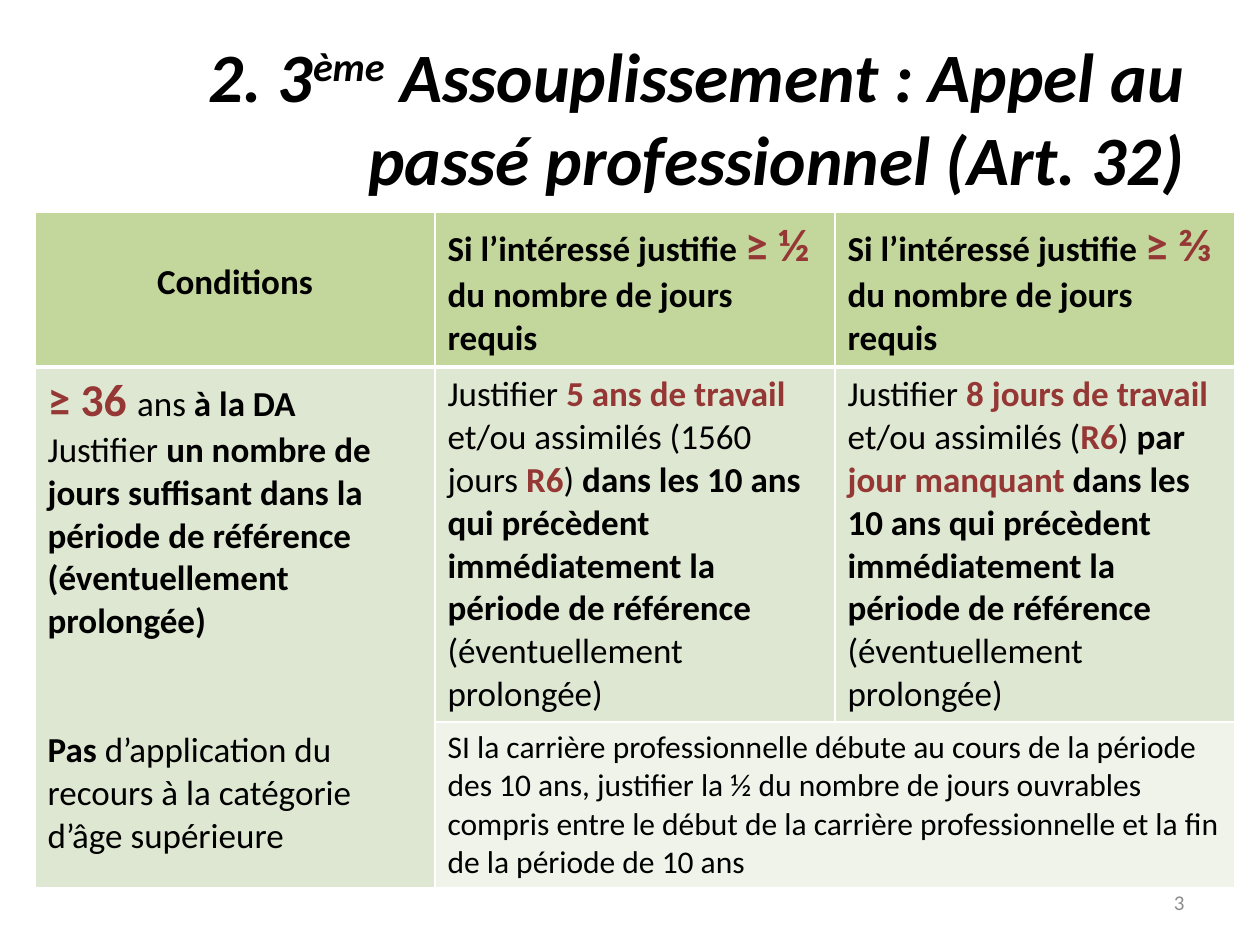
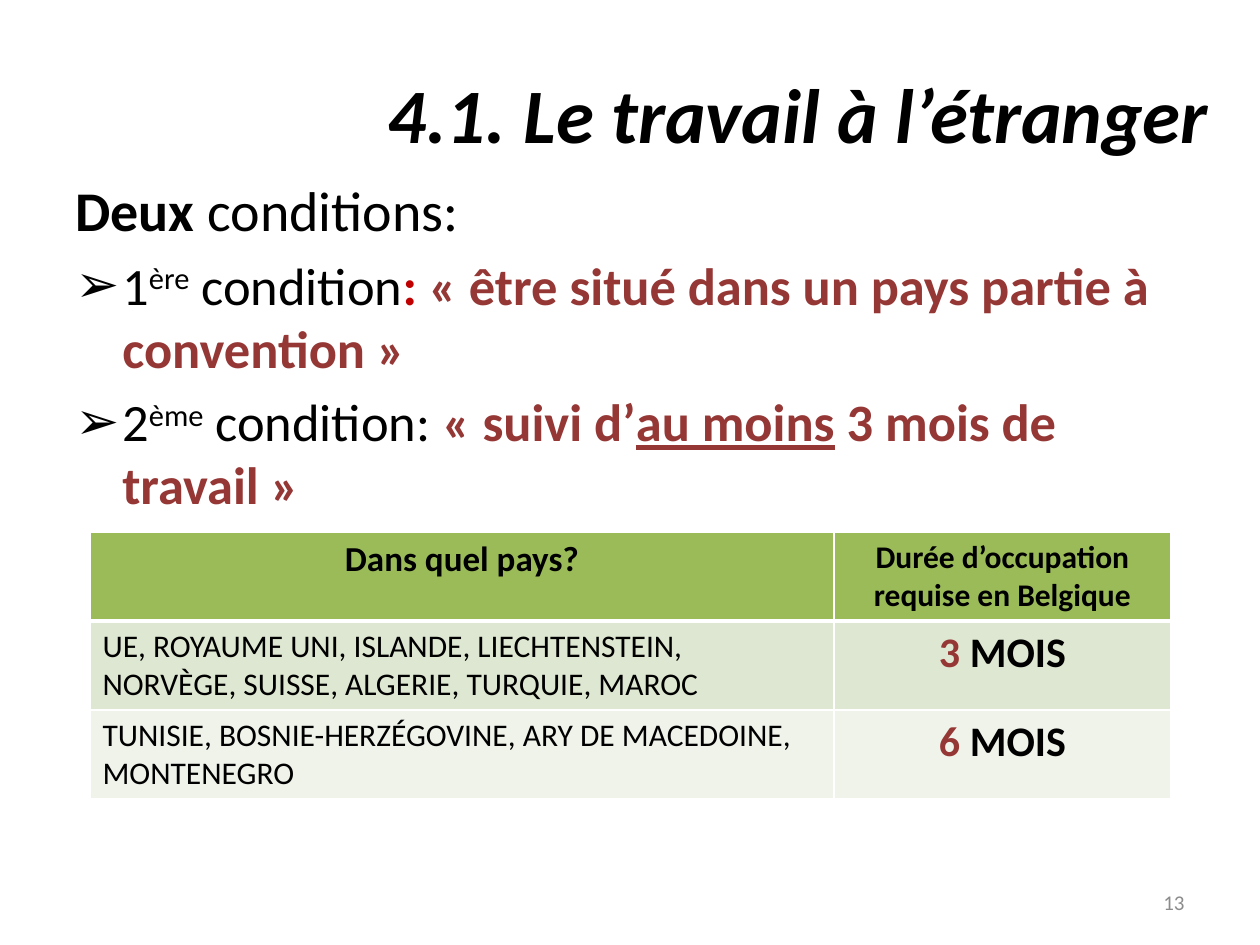
import dataclasses
import typing

import lxml.etree
import pptx
import pptx.dml.color
import pptx.enum.text
import pptx.oxml.ns
import pptx.util

PX = pptx.util.Inches(1) / 126
ALIGN = pptx.enum.text.PP_ALIGN
MIDDLE = pptx.enum.text.MSO_ANCHOR.MIDDLE


@dataclasses.dataclass(frozen=True)
class Theme:
    font: str = "Calibri"
    ink: str = "000000"
    accent: str = "953735"
    red: str = "C00000"
    grey: str = "8C8C8C"
    rule: str = "FFFFFF"
    head_soft: str = "C3D69B"
    head_strong: str = "9BBB59"
    row_dark: str = "DEE7D1"
    row_light: str = "EFF3EA"
    title: float = 44
    title_long: float = 39.6
    lead: float = 32
    body: float = 30
    symbol: float = 26
    duration: float = 24
    cell: float = 20
    cell_small: float = 18
    number: float = 12


THEME = Theme()

# Run formats, named by their role in the text
STYLES = {
    "plain": {},
    "bold": {"bold": True},
    "title": {"bold": True, "italic": True},
    "key": {"bold": True, "color": THEME.accent},
    "key_line": {"bold": True, "color": THEME.accent, "underline": True},
    "symbol": {"bold": True, "color": THEME.accent, "size": THEME.symbol},
    "colon": {"bold": True, "color": THEME.red},
    "number": {"color": THEME.grey},
    "raised": {"baseline": "30000"},
    "title_raised": {"bold": True, "italic": True, "baseline": "30000"},
}


@dataclasses.dataclass
class Para:
    spans: typing.List[typing.Tuple[str, str]]
    size: float = THEME.cell
    align: typing.Any = ALIGN.LEFT
    before: float = 0
    line: float = 1
    bullet: str = ""


def px(length):
    return pptx.util.Emu(round(length * PX))


def colour(value):
    return pptx.dml.color.RGBColor.from_string(value)


def add_node(parent, tag, **values):
    node = lxml.etree.SubElement(parent, pptx.oxml.ns.qn(tag))
    for name, value in values.items():
        node.set(name, str(value))
    return node


# Text
def add_span(para, text, style, size):
    span = para.add_run()
    span.text = text
    values = {"name": THEME.font, "size": size, "bold": False,
              "italic": False, "color": THEME.ink, **STYLES[style]}
    baseline = values.pop("baseline", None)
    span.font.color.rgb = colour(values.pop("color"))
    values["size"] = pptx.util.Pt(values["size"])
    for name, value in values.items():
        setattr(span.font, name, value)
    if baseline:
        span._r.get_or_add_rPr().set("baseline", baseline)


def fill_text(frame, paras):
    for index, content in enumerate(paras):
        para = frame.add_paragraph() if index else frame.paragraphs[0]
        formats = {"alignment": content.align, "line_spacing": content.line,
                   "space_before": pptx.util.Pt(content.before)}
        for name, value in formats.items():
            setattr(para, name, value)
        if content.bullet:
            settings = para._p.get_or_add_pPr()
            settings.set("marL", str(px(47)))
            settings.set("indent", str(px(-47)))
            add_node(settings, "a:buFont", typeface="Arial")
            add_node(settings, "a:buChar", char=content.bullet)
        for text, style in content.spans:
            add_span(para, text, style, content.size)


def add_text(page, box, paras, anchor=None):
    frame = page.shapes.add_textbox(*map(px, box)).text_frame
    frame.word_wrap = True
    if anchor is not None:
        frame.vertical_anchor = anchor
    fill_text(frame, paras)


# Title and page number shared by every slide
def add_page(deck, title_box, title, size, number):
    page = deck.slides.add_slide(deck.slide_layouts[5])
    holder = page.shapes.title
    for name, value in zip(("left", "top", "width", "height"), title_box):
        setattr(holder, name, px(value))
    frame = holder.text_frame
    frame.word_wrap = True
    frame.auto_size = pptx.enum.text.MSO_AUTO_SIZE.NONE
    frame.vertical_anchor = MIDDLE
    fill_text(frame, [Para(title, size, ALIGN.RIGHT)])
    add_text(page, (903, 877, 294, 50),
             [Para([(number, "number")], THEME.number, ALIGN.RIGHT)], MIDDLE)
    return page


# Table with white rules and a thicker one under the header
def add_borders(cell, row):
    settings = cell._tc.get_or_add_tcPr()
    widths = {"a:lnL": 1, "a:lnR": 1, "a:lnT": 3 if row == 1 else 1,
              "a:lnB": 3 if row == 0 else 1}
    for tag, width in widths.items():
        line = add_node(settings, tag, w=pptx.util.Pt(width))
        add_node(add_node(line, "a:solidFill"), "a:srgbClr", val=THEME.rule)


def add_table(page, origin, widths, heights, fills, rows, merges=()):
    box = (*origin, sum(widths), sum(heights))
    table = page.shapes.add_table(len(heights), len(widths),
                                  *map(px, box)).table
    table.first_row = table.horz_banding = False
    for column, width in zip(table.columns, widths):
        column.width = px(width)
    for row, height in zip(table.rows, heights):
        row.height = px(height)
    for row, contents in enumerate(rows):
        for column, paras in enumerate(contents):
            cell = table.cell(row, column)
            add_borders(cell, row)
            cell.fill.solid()
            cell.fill.fore_color.rgb = colour(fills[row])
            fill_text(cell.text_frame, paras)
    for first, last in merges:
        table.cell(*first).merge(table.cell(*last))


# Slide: relying on past work
def build_past_work(deck):
    page = add_page(
        deck, (63, 38, 1134, 157),
        [("2. 3", "title"), ("ème", "title_raised"),
         (" Assouplissement : Appel au passé professionnel (Art. 32)", "title")],
        THEME.title_long, "3")

    def share_header(share):
        return [Para([("Si l’intéressé justifie ", "bold"),
                      (f"≥ {share} ", "symbol"),
                      ("du nombre de jours requis", "bold")])]

    window = "dans les 10 ans qui précèdent immédiatement la période de référence "
    extended = ("(éventuellement prolongée)", "plain")
    age = [
        Para([("≥ 36 ", "symbol"), ("ans ", "plain"), ("à la DA", "bold")]),
        Para([("Justifier ", "plain"),
              ("un nombre de jours suffisant dans la période de référence "
               "(éventuellement prolongée)", "bold")]),
        Para([("Pas", "bold"),
              (" d’application du recours à la catégorie d’âge supérieure",
               "plain")], before=49),
    ]
    half = [Para([("Justifier ", "plain"), ("5 ans de travail ", "key"),
                  ("et/ou assimilés (1560 jours ", "plain"), ("R6", "key"),
                  (") ", "plain"), (window, "bold"), extended])]
    two_thirds = [Para([("Justifier ", "plain"), ("8 jours de travail ", "key"),
                        ("et/ou assimilés (", "plain"), ("R6", "key"),
                        (") ", "plain"), ("par ", "bold"),
                        ("jour manquant", "key"), (" " + window, "bold"),
                        extended])]
    late_start = [Para([(
        "SI la carrière professionnelle débute au cours de la période des "
        "10 ans, justifier la ½ du nombre de jours ouvrables compris entre le "
        "début de la carrière professionnelle et la fin de la période de "
        "10 ans", "plain")], THEME.cell_small)]
    conditions = [Para([("Conditions", "bold")], align=ALIGN.CENTER, line=2)]

    add_table(
        page, (35, 212), [400] * 3, [155, 355, 166],
        [THEME.head_soft, THEME.row_dark, THEME.row_light],
        [[conditions, share_header("½"), share_header("⅔")],
         [age, half, two_thirds],
         [[], late_start, []]],
        merges=[((1, 0), (2, 0)), ((2, 1), (2, 2))])


# Slide: work abroad
def build_work_abroad(deck):
    page = add_page(deck, (88, 69, 1134, 87),
                    [("4.1. Le travail à l’étranger", "title")],
                    THEME.title, "13")

    def condition(spans):
        return Para(spans, THEME.body, before=6, bullet="➢")

    add_text(page, (63, 169, 1134, 350), [
        Para([("Deux", "bold"), (" conditions:", "plain")], THEME.lead),
        condition([("1", "plain"), ("ère", "raised"), (" condition", "plain"),
                   (": ", "colon"),
                   ("« être situé dans un pays partie à convention »", "key")]),
        condition([("2", "plain"), ("ème", "raised"),
                   (" condition: ", "plain"), ("« suivi d’", "key"),
                   ("au moins", "key_line"),
                   (" 3 mois de travail »", "key")]),
    ])

    def header(text, size):
        return [Para([(text, "bold")], size, ALIGN.CENTER)]

    def country_row(countries, months):
        return [[Para([(countries, "plain")], THEME.cell_small)],
                [Para([(f"{months} ", "key"), ("MOIS", "bold")],
                      THEME.duration, ALIGN.CENTER)]]

    add_table(
        page, (90, 532), [744, 337], [89] * 3,
        [THEME.head_strong, THEME.row_dark, THEME.row_light],
        [[header("Dans quel pays?", THEME.cell),
          header("Durée d’occupation requise en Belgique", THEME.cell_small)],
         country_row("UE, ROYAUME UNI, ISLANDE, LIECHTENSTEIN, NORVÈGE, "
                     "SUISSE, ALGERIE, TURQUIE, MAROC", 3),
         country_row("TUNISIE, BOSNIE-HERZÉGOVINE, ARY DE MACEDOINE, "
                     "MONTENEGRO", 6)])


def main():
    deck = pptx.Presentation()
    deck.slide_width, deck.slide_height = px(1260), px(945)
    build_past_work(deck)
    build_work_abroad(deck)
    deck.save("out.pptx")


if __name__ == "__main__":
    main()
